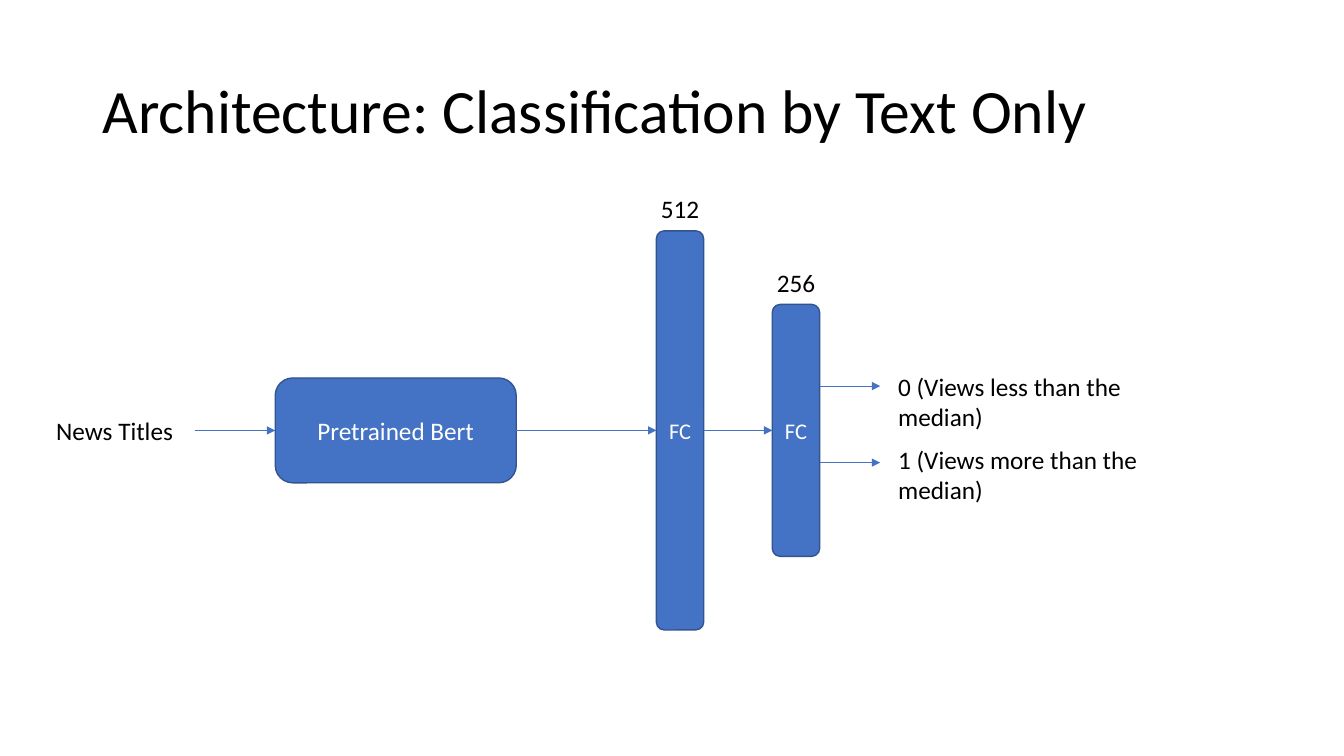
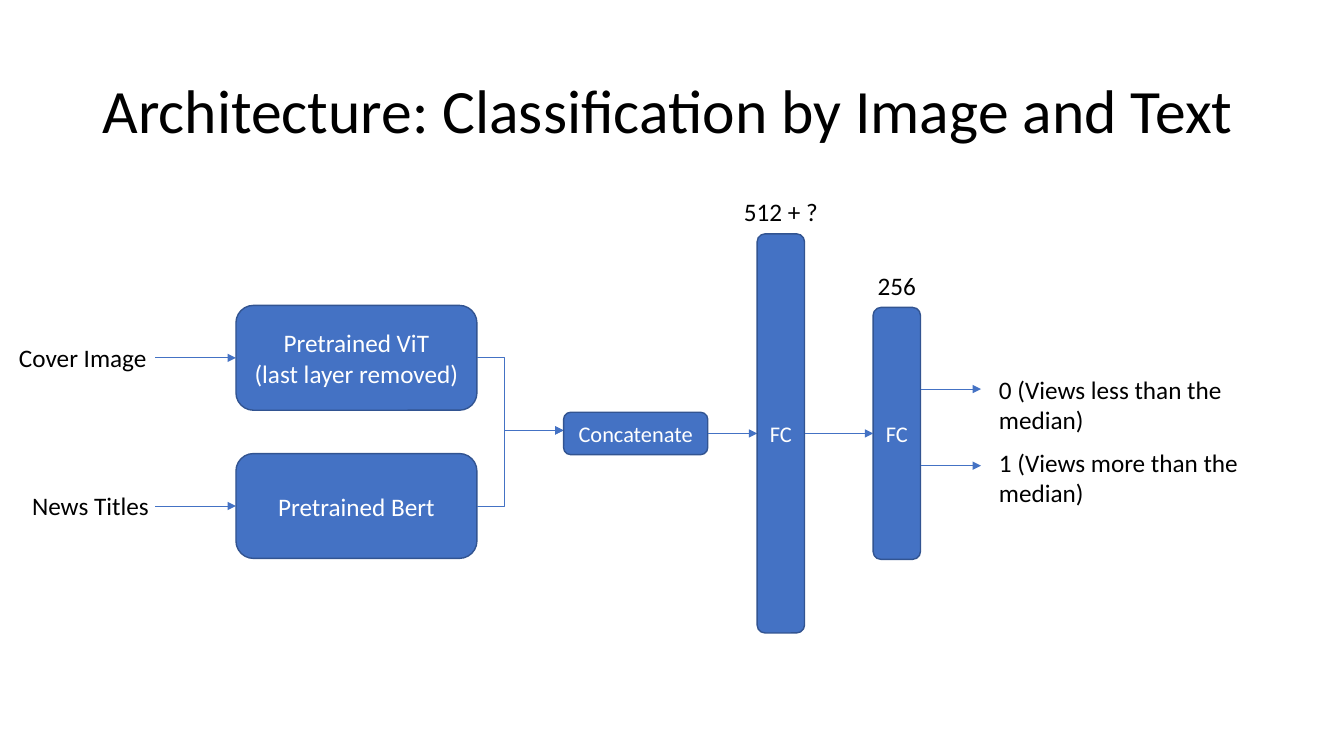
from lxml import etree
from pptx import Presentation
from pptx.dml.color import RGBColor
from pptx.enum.shapes import MSO_CONNECTOR as Link, MSO_SHAPE as Shape
from pptx.enum.text import MSO_ANCHOR as Anchor, PP_ALIGN as Align
from pptx.oxml.ns import qn
from pptx.util import Inches, Pt

COLORS = {"fill": "4472C4", "outline": "325491", "ink": "000000", "paper": "FFFFFF"}
FONT = "Calibri"
ENCODER_W, ENCODER_H = 2.39, 1.04
LAYER_W, LAYER_STEP = 0.47, 1.15
INPUT_ARROW = 0.8
OUTPUT_ARROW = 0.6


def color(key):
    return RGBColor.from_string(COLORS[key])


def write(frame, text, size, ink, align, anchor):
    frame.word_wrap = True
    frame.vertical_anchor = anchor
    frame.text = text
    for paragraph in frame.paragraphs:
        paragraph.alignment = align
        paragraph.font.name = FONT
        paragraph.font.size = Pt(size)
        paragraph.font.color.rgb = color(ink)


def add_label(slide, text, left, top, width, height=0.4, size=18,
              align=Align.LEFT, anchor=Anchor.TOP):
    label = slide.shapes.add_textbox(Inches(left), Inches(top), Inches(width), Inches(height))
    write(label.text_frame, text, size, "ink", align, anchor)
    return label


def add_title(slide, text):
    title = add_label(slide, text, 0.92, 0.4, 11.5, 1.45, 44, anchor=Anchor.MIDDLE)
    title.text_frame.paragraphs[0].line_spacing = 0.9


def add_block(slide, text, left, middle, width, height, size):
    block = slide.shapes.add_shape(Shape.ROUNDED_RECTANGLE, Inches(left),
                                   Inches(middle - height / 2), Inches(width), Inches(height))
    block.shadow.inherit = False
    block.fill.solid()
    block.fill.fore_color.rgb = color("fill")
    block.line.color.rgb = color("outline")
    block.line.width = Pt(1)
    write(block.text_frame, text, size, "paper", Align.CENTER, Anchor.MIDDLE)


def add_arrow(slide, x1, y1, x2, y2, bend=None):
    kind = Link.STRAIGHT if bend is None else Link.ELBOW
    arrow = slide.shapes.add_connector(kind, Inches(x1), Inches(y1), Inches(x2), Inches(y2))
    arrow.line.color.rgb = color("fill")
    arrow.line.width = Pt(0.5)
    properties = arrow.element.spPr
    etree.SubElement(properties.find(qn("a:ln")), qn("a:tailEnd"), type="triangle")
    etree.SubElement(properties, qn("a:effectLst"))
    if bend is not None:
        ratio = round((bend - x1) / (x2 - x1) * 100000)
        guides = properties.find(qn("a:prstGeom")).get_or_add_avLst()
        etree.SubElement(guides, qn("a:gd"), name="adj1", fmla=f"val {ratio}")


def add_encoder(slide, source, source_left, text, left, middle):
    add_label(slide, source, source_left, middle - 0.2, 1.5)
    add_arrow(slide, left - INPUT_ARROW, middle, left, middle)
    add_block(slide, text, left, middle, ENCODER_W, ENCODER_H, 18)
    return left + ENCODER_W


def add_classifier(slide, left, middle, first_units):
    layers = [(first_units, 3.96), ("256", 2.5)]
    for index, (units, height) in enumerate(layers):
        layer_left = left + index * LAYER_STEP
        add_block(slide, "FC", layer_left, middle, LAYER_W, height, 16)
        add_label(slide, units, layer_left + LAYER_W / 2 - 0.5, middle - height / 2 - 0.42, 1,
                  align=Align.CENTER)
    second_left = left + LAYER_STEP
    add_arrow(slide, left + LAYER_W, middle, second_left, middle)

    output_left = second_left + LAYER_W
    outputs = [("0 (Views less than the median)", -0.44, -0.64),
               ("1 (Views more than the median)", 0.32, 0.09)]
    for text, arrow_offset, label_offset in outputs:
        arrow_y = middle + arrow_offset
        add_arrow(slide, output_left, arrow_y, output_left + OUTPUT_ARROW, arrow_y)
        add_label(slide, text, output_left + 0.68, middle + label_offset, 3.24)


def build_text_only(slide):
    middle, classifier_left = 4.27, 6.51
    add_title(slide, "Architecture: Classification by Text Only")
    encoder_right = add_encoder(slide, "News Titles", 0.46, "Pretrained Bert", 2.73, middle)
    add_arrow(slide, encoder_right, middle, classifier_left, middle)
    add_classifier(slide, classifier_left, middle, "512")


def build_image_and_text(slide):
    middle, merge_y, classifier_left = 4.3, 4.27, 7.51
    concat_left, concat_width = 5.59, 1.43
    add_title(slide, "Architecture: Classification by Image and Text")
    branches = [("Cover Image", 0.09, "Pretrained ViT\n(last layer removed)", 3.55),
                ("News Titles", 0.22, "Pretrained Bert", 5.02)]
    for source, source_left, encoder, branch_y in branches:
        encoder_right = add_encoder(slide, source, source_left, encoder, 2.34, branch_y)
        add_arrow(slide, encoder_right, branch_y, concat_left, merge_y, bend=5)
    add_block(slide, "Concatenate", concat_left, middle, concat_width, 0.42, 16)
    add_arrow(slide, concat_left + concat_width, middle, classifier_left, middle)
    add_classifier(slide, classifier_left, middle, "512 + ?")


def main():
    deck = Presentation()
    deck.slide_width, deck.slide_height = Inches(13.33), Inches(7.5)
    for build in (build_text_only, build_image_and_text):
        build(deck.slides.add_slide(deck.slide_layouts[6]))
    deck.save("out.pptx")


if __name__ == "__main__":
    main()
